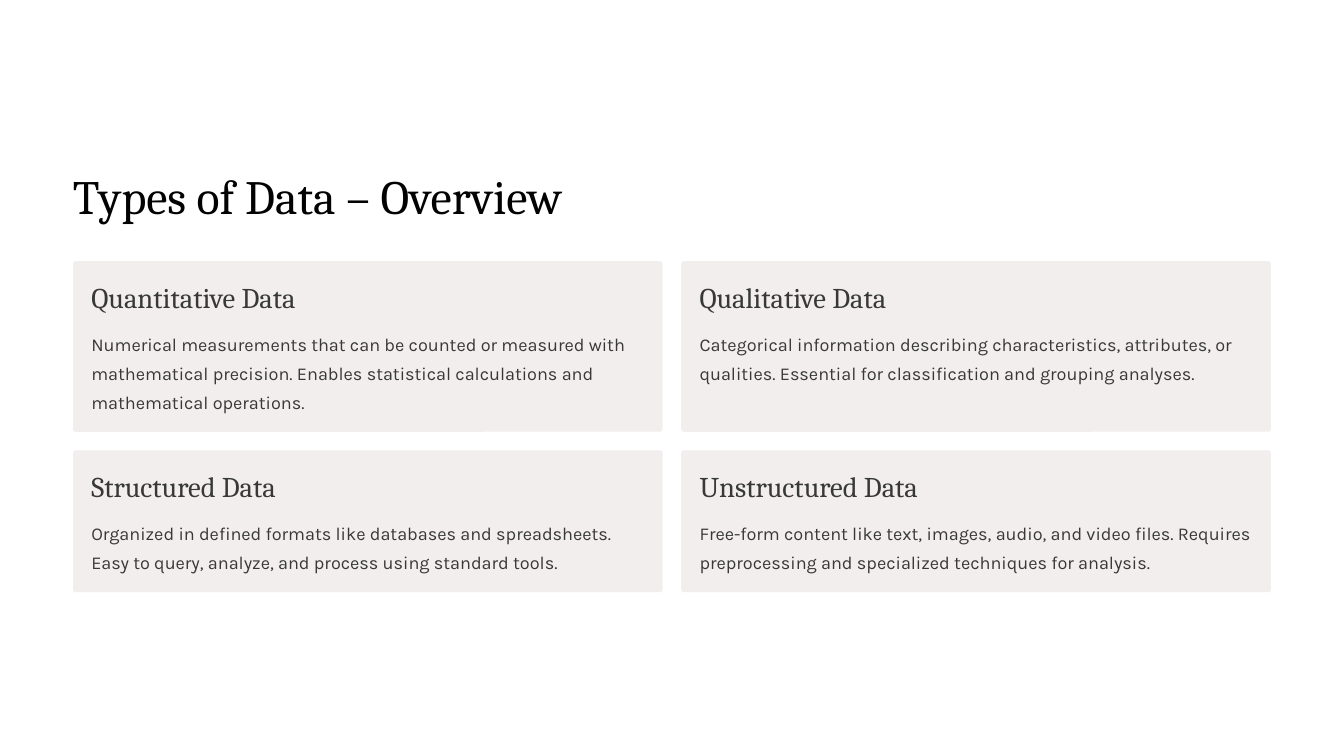
from pptx import Presentation
from pptx.dml.color import RGBColor
from pptx.enum.shapes import MSO_SHAPE
from pptx.util import Pt

ROUND = MSO_SHAPE.ROUNDED_RECTANGLE
WHITE = RGBColor(0xFF, 0xFF, 0xFF)
BLACK = RGBColor(0x02, 0x02, 0x02)
GREY = RGBColor(0x38, 0x38, 0x38)
PALE = RGBColor(0xF2, 0xEE, 0xEE)
SERIF = "Cambria"
SANS = "Karla"

LEFT, TOP = 62.6, 223.9
WIDTH, GAP = 505.4, 15.9
PAD, RADIUS = 15.7, 2.33
ROWS = [
    (146.2, [
        ("Quantitative Data",
         "Numerical measurements that can be counted or measured with "
         "mathematical precision. Enables statistical calculations and "
         "mathematical operations."),
        ("Qualitative Data",
         "Categorical information describing characteristics, attributes, "
         "or qualities. Essential for classification and grouping analyses."),
    ]),
    (121.6, [
        ("Structured Data",
         "Organized in defined formats like databases and spreadsheets. "
         "Easy to query, analyze, and process using standard tools."),
        ("Unstructured Data",
         "Free-form content like text, images, audio, and video files. "
         "Requires preprocessing and specialized techniques for analysis."),
    ]),
]


def add_text(slide, box, text, font, size, line, color, wrap=False):
    """Add a text box without margins, holding one run."""
    frame = slide.shapes.add_textbox(*map(Pt, box)).text_frame
    frame.margin_left = frame.margin_right = 0
    frame.margin_top = frame.margin_bottom = 0
    frame.word_wrap = wrap
    para = frame.paragraphs[0]
    para.line_spacing = Pt(line)
    run = para.add_run()
    run.text = text
    run.font.name = font
    run.font.size = Pt(size)
    run.font.color.rgb = color


def add_card(slide, left, top, height, head, body):
    """Add a pale rounded panel with its heading and body text."""
    panel = slide.shapes.add_shape(
        ROUND, Pt(left), Pt(top), Pt(WIDTH), Pt(height))
    panel.adjustments[0] = RADIUS / height
    panel.fill.solid()
    panel.fill.fore_color.rgb = PALE
    panel.line.fill.background()
    panel.shadow.inherit = False
    inner = left + PAD
    add_text(slide, (inner, top + 15.2, 246.2, 31), head,
             SERIF, 24.5, 30.5, GREY)
    add_text(slide, (inner, top + 55.4, 474.5, height - 71.4), body,
             SANS, 15.5, 25, GREY, wrap=True)


def main():
    """Build the slide and save it."""
    deck = Presentation()
    deck.slide_width, deck.slide_height = Pt(1152), Pt(648)
    slide = deck.slides.add_slide(deck.slide_layouts[6])
    fill = slide.background.fill
    fill.solid()
    fill.fore_color.rgb = WHITE
    add_text(slide, (LEFT, 141.1, 463.7, 51.1), "Types of Data – Overview",
             SERIF, 41, 51, BLACK)
    top = TOP
    for height, cards in ROWS:
        for col, (head, body) in enumerate(cards):
            left = LEFT + col * (WIDTH + GAP)
            add_card(slide, left, top, height, head, body)
        top += height + GAP
    deck.save("out.pptx")


if __name__ == "__main__":
    main()
